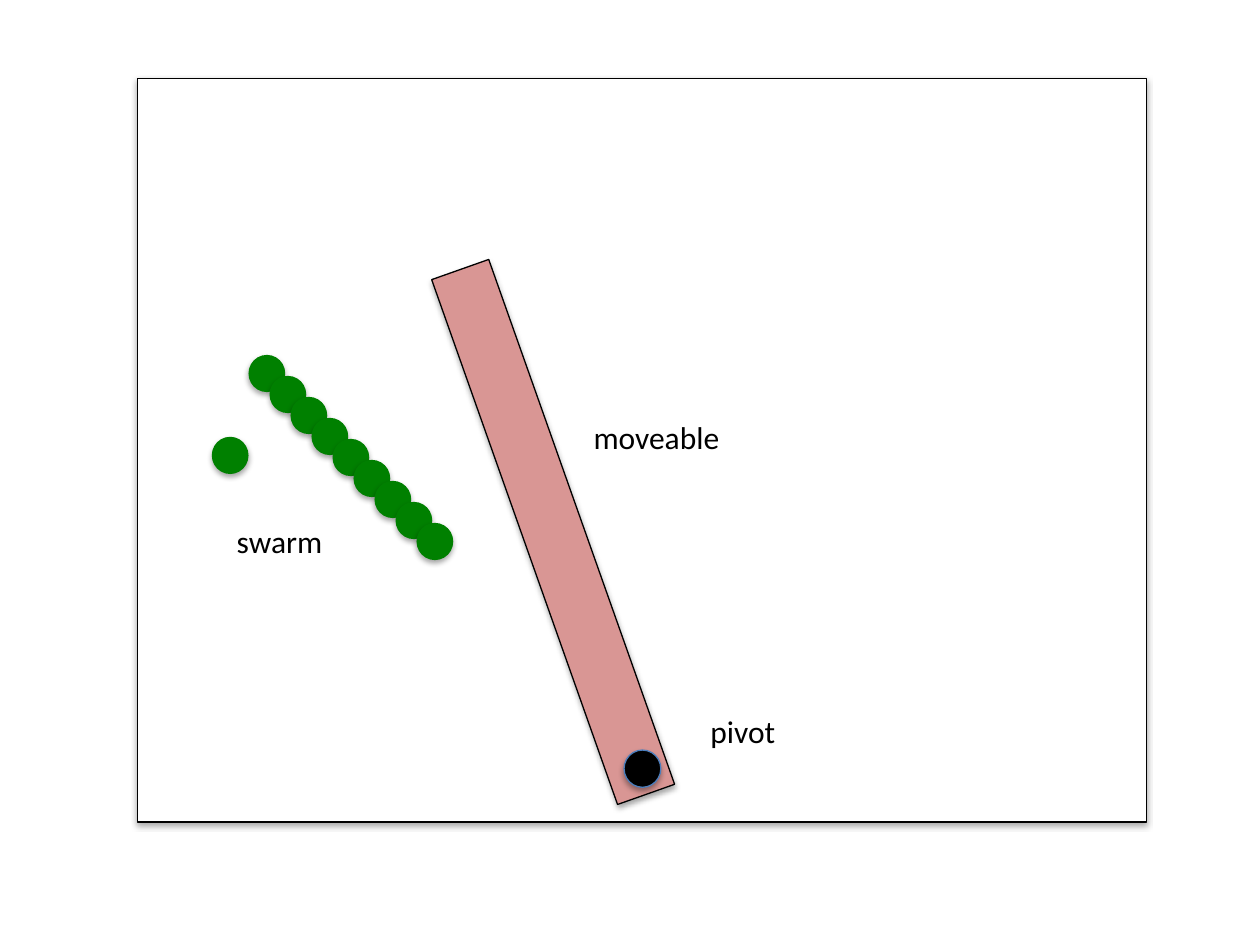
from pptx import Presentation
from pptx.dml.color import RGBColor
from pptx.enum.shapes import MSO_SHAPE as SHAPE
from pptx.util import Pt


def color(value):
    return RGBColor.from_string(value)


def add_figure(kind, x, y, w, h, fill, line=None):
    sp = s.shapes.add_shape(kind, Pt(x), Pt(y), Pt(w), Pt(h))
    sp.fill.solid()
    sp.fill.fore_color.rgb = color(fill)
    if line:
        sp.line.color.rgb = color(line)
        sp.line.width = Pt(0.75)
    else:
        sp.line.fill.background()
    return sp


prs = Presentation()
prs.slide_width, prs.slide_height = Pt(720), Pt(540)
s = prs.slides.add_slide(prs.slide_layouts[6])

DOT_W, DOT_H = 21, 21.3
GREEN = "008000"

add_figure(SHAPE.RECTANGLE, 78.4, 44.8, 576.7, 425, "FFFFFF", "000000")
bar = add_figure(SHAPE.RECTANGLE, 298.8, 144.9, 34.6, 318.2, "D99694", "000000")
bar.rotation = 340.5
add_figure(SHAPE.OVAL, 356.6, 428.6, DOT_W, DOT_H, "000000", "4B7EBC")

add_figure(SHAPE.OVAL, 121, 249.6, DOT_W, DOT_H, GREEN)
for i in range(9):
    add_figure(SHAPE.OVAL, 142 + 12 * i, 202.8 + 12 * i, DOT_W, DOT_H, GREEN)

labels = [("pivot", 398.9, 403.2), ("moveable", 332.1, 235.2), ("swarm", 128.2, 294.5)]
for text, x, y in labels:
    tf = s.shapes.add_textbox(Pt(x), Pt(y), Pt(91.4), Pt(51)).text_frame
    tf.word_wrap = True
    r = tf.paragraphs[0].add_run()
    r.text = text
    r.font.name = "Calibri"
    r.font.size = Pt(18)
    r.font.color.rgb = color("000000")

prs.save("out.pptx")
